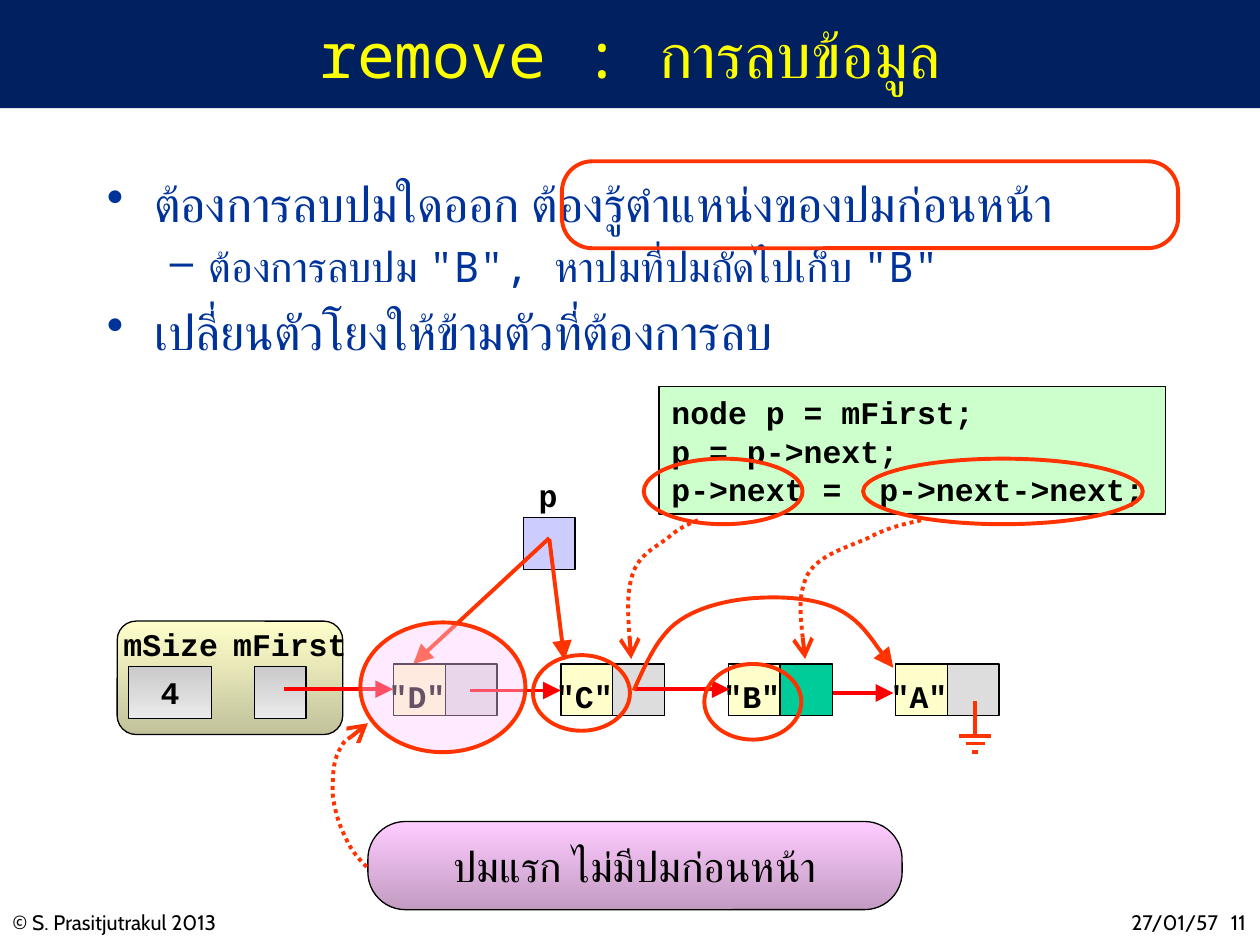
from dataclasses import dataclass

from lxml import etree
from pptx import Presentation
from pptx import util as u
from pptx.dml import color
from pptx.enum import dml, shapes, text
from pptx.oxml import ns

# Grid: 100 columns by 75 rows
COLS, ROWS = 100, 75
CELL = 4.1
NODE_X, NODE_Y, NODE_PITCH = 31.25, 52.7, 13.28
COLORS = {
    "navy": "002060", "title": "FFFF00", "body": "003399", "black": "000000",
    "mark": "FF3300", "link": "FF0000", "data": "FFFFCC", "next": "DDDDDD",
    "green": "00CC99", "pointer": "CCCCFF", "code": "CCFFCC", "pink": "FFCCFF",
    "olive": "C2C29B", "silver": "CACACA", "pale": "EAEAEA", "mauve": "C29BC2",
}
MONO, CODE, FOOT = "Noto Sans Mono", "Courier New", "Cabin"
KIND, ALIGN = shapes.MSO_SHAPE, text.PP_ALIGN

prs = Presentation()
prs.slide_width, prs.slide_height = u.Inches(10), u.Inches(7.5)
s = prs.slides.add_slide(prs.slide_layouts[6])
UNIT = prs.slide_width // COLS


@dataclass
class Bullet:
    words: str
    size: int
    mark: str
    left: float
    hang: float


@dataclass
class Curve:
    points: list  # start, then two controls and an end for each segment
    head: str = "arrow"
    dotted: bool = True


def grid(*values: float) -> list:
    return [u.Emu(round(v * UNIT)) for v in values]


def rgb(name: str) -> color.RGBColor:
    return color.RGBColor.from_string(COLORS[name])


def sub(parent, tag: str, **attrs):
    return etree.SubElement(parent, ns.qn(tag), **attrs)


def write(p, words: str, size: float = 18, font: str = CODE, fill: str = "black",
          bold: bool = False, align=ALIGN.LEFT, spacing=None) -> None:
    p.alignment = align
    if spacing:
        p.line_spacing = u.Pt(spacing)
    r = p.add_run()
    r.text = words
    r.font.size, r.font.name, r.font.bold = u.Pt(size), font, bold
    r.font.color.rgb = rgb(fill)


def write_code(tf, *lines: str, align=ALIGN.CENTER) -> None:
    for i, line in enumerate(lines):
        p = tf.add_paragraph() if i else tf.paragraphs[0]
        write(p, line, bold=True, align=align, spacing=21.8)


def text_box(x: float, y: float, w: float, h: float):
    tf = s.shapes.add_textbox(*grid(x, y, w, h)).text_frame
    tf.word_wrap = True
    return tf


def label(words: str, x: float, y: float, w: float) -> None:
    write_code(text_box(x, y, w, 4), words)


def outline(line, name: str, width: float, head=None) -> None:
    line.color.rgb = rgb(name)
    line.width = u.Pt(width)
    if head:
        sub(line._get_or_add_ln(), "a:tailEnd", type=head, w="lg", len="lg")


def shape(kind, x, y, w, h, fill=None, line="black", width=0.75, adj=None, alpha=None):
    """fill is a colour name, a (top, bottom) pair, or None for no fill."""
    sp = s.shapes.add_shape(kind, *grid(x, y, w, h))
    sp.shadow.inherit = False
    if adj is not None:
        sp.adjustments[0] = adj
    if fill is None:
        sp.fill.background()
    elif isinstance(fill, tuple):
        sp.fill.gradient()
        sp.fill.gradient_angle = 270
        for stop, name in zip(sp.fill.gradient_stops, fill):
            stop.color.rgb = rgb(name)
    else:
        sp.fill.solid()
        sp.fill.fore_color.rgb = rgb(fill)
        if alpha:
            clr = sp._element.spPr.find(ns.qn("a:solidFill"))[0]
            sub(clr, "a:alpha", val=str(alpha * 1000))
    if line:
        outline(sp.line, line, width)
    else:
        sp.line.fill.background()
    sp.text_frame.word_wrap = True
    sp.text_frame.vertical_anchor = text.MSO_ANCHOR.TOP
    return sp


def ring(x: float, y: float, w: float, h: float, **style) -> None:
    shape(KIND.OVAL, x, y, w, h, line="mark", width=2.25, **style)


def line(x1, y1, x2, y2, name="link", width=2.0, head="triangle") -> None:
    c = s.shapes.add_connector(shapes.MSO_CONNECTOR.STRAIGHT, *grid(x1, y1, x2, y2))
    outline(c.line, name, width, head)
    sub(c._element.spPr, "a:effectLst")


def draw_curve(curve: Curve) -> None:
    start, *rest = [grid(*pt) for pt in curve.points]
    fb = s.shapes.build_freeform(*start)
    fb.add_line_segments(rest, close=False)
    sp = fb.convert_to_shape()
    # Join each three straight segments into one Bézier segment
    segments = list(sp._element.iter(ns.qn("a:lnTo")))
    for i in range(0, len(segments), 3):
        first, *others = segments[i:i + 3]
        first.tag = ns.qn("a:cubicBezTo")
        for seg in others:
            first.append(seg[0])
            seg.getparent().remove(seg)
    sp.shadow.inherit = False
    sp.fill.background()
    if curve.dotted:
        sp.line.dash_style = dml.MSO_LINE.ROUND_DOT
    outline(sp.line, "mark", 2.25, curve.head)


# Title band and footer
shape(KIND.RECTANGLE, 0, 0, COLS, 8.6, fill="navy", line=None)
write(text_box(0, 71.7, 32.5, 3).paragraphs[0], "© S. Prasitjutrakul 2013", 12, FOOT)
p = text_box(78.3, 71.7, 21.7, 3).paragraphs[0]
tabs = sub(p._p.get_or_add_pPr(), "a:tabLst")
for stop in (17.4, 19.6):
    sub(tabs, "a:tab", pos=str(round(stop * UNIT)), algn="r")
write(p, "\t27/01/57\t11", 12, FOOT)
tf = text_box(7.5, 0.1, 85, 8.3)
tf.vertical_anchor = text.MSO_ANCHOR.MIDDLE
write(tf.paragraphs[0], "remove : การลบข้อมูล", 36, MONO, "title", align=ALIGN.CENTER)

# Bullets
BULLETS = [
    Bullet("ต้องการลบปมใดออก ต้องรู้ตำแหน่งของปมก่อนหน้า", 28, "•", 3.75, 3.75),
    Bullet('ต้องการลบปม "B", หาปมที่ปมถัดไปเก็บ "B"', 24, "–", 8.1, 3.1),
    Bullet("เปลี่ยนตัวโยงให้ข้ามตัวที่ต้องการลบ", 28, "•", 3.75, 3.75),
]
tf = text_box(7.5, 13.3, 88.8, 17.7)
for i, b in enumerate(BULLETS):
    p = tf.add_paragraph() if i else tf.paragraphs[0]
    if i:
        p.space_before = u.Pt(0.2 * b.size)
    pPr = p._p.get_or_add_pPr()
    pPr.set("marL", str(round(b.left * UNIT)))
    pPr.set("indent", str(-round(b.hang * UNIT)))
    sub(pPr, "a:buChar", char=b.mark)
    write(p, b.words, b.size, MONO, "body")

# Pointer p
shape(KIND.RECTANGLE, 41.55, 41.1, CELL, CELL, fill="pointer")
label("p", 39.5, 37.3, 8)
line(43.6, 42.7, 32.8, 52.7, "mark", 2.25)
line(43.6, 42.8, 44.8, 52.4, "mark", 2.25)

# List header
shape(KIND.ROUNDED_RECTANGLE, 9.3, 49.3, 17.9, 9, fill=("data", "olive"), adj=0.167)
shape(KIND.RECTANGLE, 20.2, 52.9, CELL, CELL, fill=("silver", "pale"))
label("mFirst", 17.1, 49.1, 11.8)
sp = shape(KIND.RECTANGLE, 10.2, 52.9, 6.6, CELL, fill=("silver", "pale"))
write_code(sp.text_frame, "4")
label("mSize", 8.5, 49.1, 10.1)

# Linked nodes, links, and the highlighted cell over the last link
for i, name in enumerate("DCBA"):
    x = NODE_X + i * NODE_PITCH
    for offset, fill in ((0, "data"), (CELL, "next")):
        shape(KIND.RECTANGLE, x + offset, NODE_Y, CELL, CELL, fill=fill)
    label(f'"{name}"', x - 2.3, NODE_Y + 0.5, 8.3)
for x1, x2, y in ((22.5, 31.2, 54.7), (37.3, 44.5, 54.8), (50.4, 57.9, 54.7), (64, 70.9, 55)):
    line(x1, y, x2, y)
shape(KIND.RECTANGLE, 61.9, NODE_Y, 4.2, CELL, fill="green")

# Ground sign after the last node
line(77.4, 55.6, 77.4, 58.4, "mark", head=None)
for half, y in ((1.25, 58.4), (0.75, 59), (0.25, 59.7)):
    line(77.4 - half, y, 77.4 + half, y, "mark", head=None)

# Code
sp = shape(KIND.RECTANGLE, 52.3, 30.7, 40.2, 10.1, fill="code")
write_code(sp.text_frame, "node p = mFirst;", "p = p->next;", "p->next =  p->next->next;",
           align=ALIGN.LEFT)

# First-node note
sp = shape(KIND.ROUNDED_RECTANGLE, 29.2, 65.2, 42.4, 7, fill=("pink", "mauve"), adj=0.426)
sp.text_frame.word_wrap = False
sp.text_frame.vertical_anchor = text.MSO_ANCHOR.MIDDLE
write(sp.text_frame.paragraphs[0], "ปมแรก ไม่มีปมก่อนหน้า", 24, MONO, align=ALIGN.CENTER)

# Marks
shape(KIND.ROUNDED_RECTANGLE, 44.6, 12.8, 48.9, 6.9, line="mark", width=2.25, adj=0.348)
ring(28.6, 49.4, 13.1, 10.3, fill="pink", alpha=40)
for box in ((68.5, 36.4, 22.2, 5.2), (51.1, 36.4, 12.6, 5.2),
            (42.3, 52, 7.7, 6), (55.9, 52.7, 7.7, 6)):
    ring(*box)

# Curved arrows
CURVES = [
    Curve([(50.3, 54.8), (51.2, 52.8), (52.1, 50.7), (53.6, 49.5), (55.1, 48.3),
           (57.4, 47.7), (59.5, 47.5), (61.7, 47.3), (64.5, 47.4), (66.4, 48.3),
           (68.3, 49.2), (70.2, 52.2), (70.9, 53)], "triangle", False),
    Curve([(73.1, 41.3), (71.7, 41.6), (70.4, 41.9), (68.9, 42.7), (67.4, 43.4),
           (65, 44), (64.1, 45.6), (63.3, 47.2), (63.6, 49.8), (63.9, 52.3)]),
    Curve([(55.4, 41.3), (54.6, 41.6), (53.9, 41.9), (53, 42.7), (52.1, 43.4),
           (50.7, 44), (50.2, 45.6), (49.7, 47.2), (49.9, 49.8), (50.1, 52.3)]),
    Curve([(29.1, 68.8), (28.4, 68.1), (27.8, 67.4), (27.4, 66.4), (26.9, 65.5),
           (26.5, 64.1), (26.4, 63), (26.4, 61.8), (26.4, 60.5), (26.9, 59.6),
           (27.4, 58.6), (28.9, 57.8), (29.2, 57.4)]),
]
for curve in CURVES:
    draw_curve(curve)

prs.save("out.pptx")
